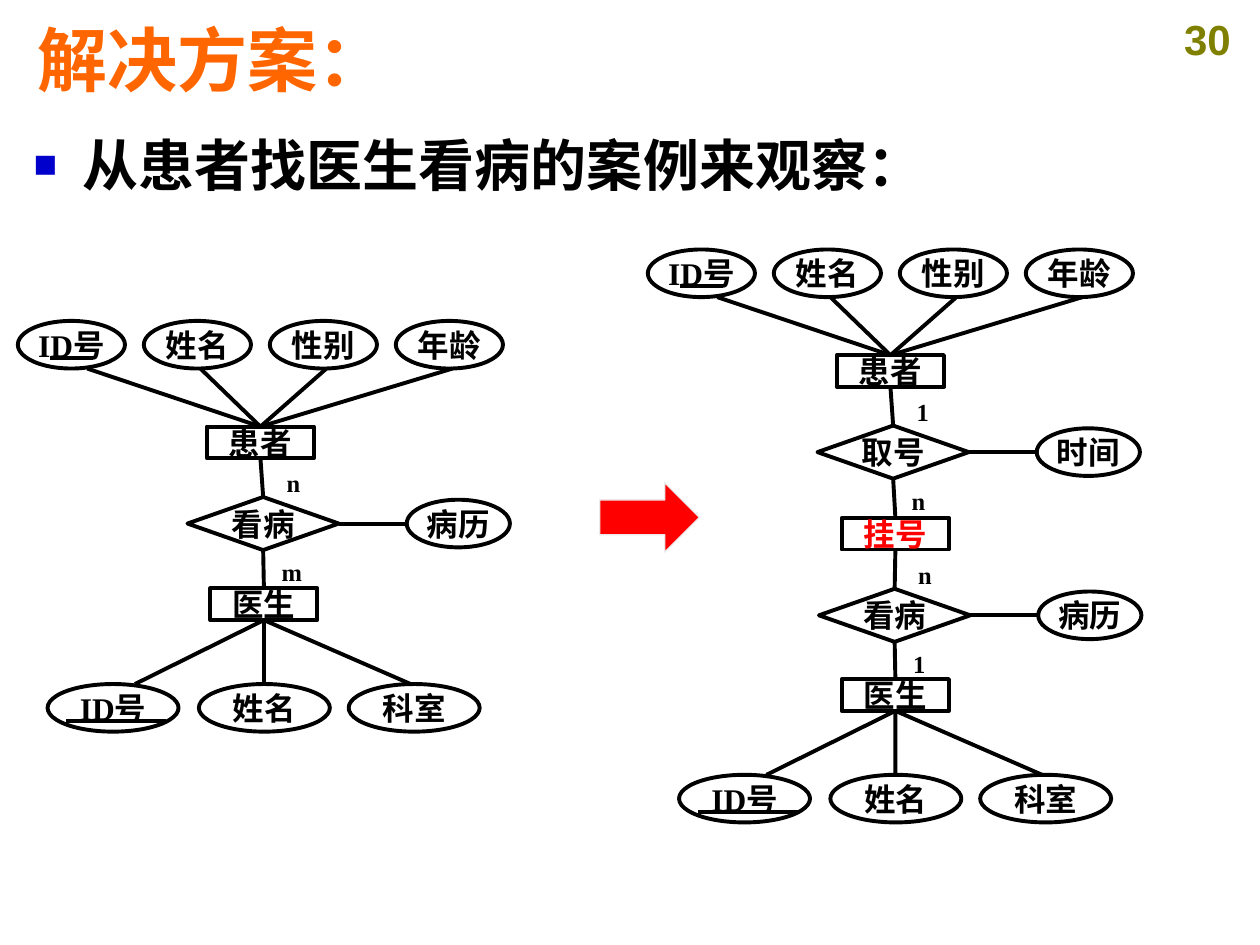
from lxml import etree
from pptx import Presentation
from pptx.dml.color import RGBColor
from pptx.enum.shapes import MSO_CONNECTOR, MSO_SHAPE
from pptx.enum.text import MSO_ANCHOR, PP_ALIGN
from pptx.oxml.ns import qn
from pptx.util import Cm, Pt

RECT, ELLIPSE = MSO_SHAPE.RECTANGLE, MSO_SHAPE.OVAL
DIAMOND, ARROW = MSO_SHAPE.DIAMOND, MSO_SHAPE.RIGHT_ARROW
STRAIGHT = MSO_CONNECTOR.STRAIGHT
LEFT, CENTER = PP_ALIGN.LEFT, PP_ALIGN.CENTER
TOP, MIDDLE = MSO_ANCHOR.TOP, MSO_ANCHOR.MIDDLE
TOP_SITE, BOTTOM_SITE, RIGHT_SITE = 0, 2, 3
SERIF, SANS = "Times New Roman", "Arial"
COLORS = {
    "black": "000000",
    "red": "FF0000",
    "title": "FF6600",
    "number": "808000",
    "bullet": "0000CC",
    "arrow_line": "EAEAEA",
}
ENTITY_W, ENTITY_H, ELLIPSE_H = 2.16, 0.64, 0.96


def rgb(name):
    return RGBColor.from_string(COLORS[name])


def write(tf, text, size, font=SERIF, color="black", align=LEFT, anchor=TOP):
    tf.text = text
    tf.vertical_anchor = anchor
    p = tf.paragraphs[0]
    p.alignment = align
    r = p.runs[0]
    r.font.size = Pt(size)
    r.font.name = font
    r.font.bold = True
    r.font.color.rgb = rgb(color)
    return p


def add_text(s, x, y, w, h, text, size, **style):
    tf = s.shapes.add_textbox(Cm(x), Cm(y), Cm(w), Cm(h)).text_frame
    tf.word_wrap = True
    return write(tf, text, size, **style)


def add_bullet(p, char, indent):
    pPr = p._p.get_or_add_pPr()
    pPr.set("marL", str(Cm(indent)))
    pPr.set("indent", str(-Cm(indent)))
    color = etree.SubElement(pPr, qn("a:buClr"))
    etree.SubElement(color, qn("a:srgbClr"), val=COLORS["bullet"])
    etree.SubElement(pPr, qn("a:buSzPct"), val="70000")
    etree.SubElement(pPr, qn("a:buFont"), typeface=SANS)
    etree.SubElement(pPr, qn("a:buChar"), char=char)


def add_node(s, kind, x, y, w, h, text, color="black"):
    sp = s.shapes.add_shape(kind, Cm(x), Cm(y), Cm(w), Cm(h))
    sp.shadow.inherit = False
    sp.fill.background()
    sp.line.color.rgb = rgb("black")
    sp.line.width = Pt(2.25)
    tf = sp.text_frame
    tf.margin_left = tf.margin_right = tf.margin_top = tf.margin_bottom = 0
    tf.word_wrap = False
    write(tf, text, 18, color=color, align=CENTER, anchor=MIDDLE)
    return sp


def add_line(s, x1, y1, x2, y2, begin=None, end=None):
    c = s.shapes.add_connector(STRAIGHT, Cm(x1), Cm(y1), Cm(x2), Cm(y2))
    c.line.color.rgb = rgb("black")
    c.line.width = Pt(2.25)
    etree.SubElement(c._element.spPr, qn("a:effectLst"))
    if begin:
        c.begin_connect(*begin)
    if end:
        c.end_connect(*end)


def add_entity(s, x, y, text, color="black"):
    return add_node(s, RECT, x, y, ENTITY_W, ENTITY_H, text, color)


def add_patient(s, x, y):
    entity = add_entity(s, x + 3.81, y + 2.13, "患者")
    for i, text in enumerate(["ID号", "姓名", "性别", "年龄"]):
        left = x + 2.54 * i
        add_node(s, ELLIPSE, left, y, ENTITY_W, ELLIPSE_H, text)
        start = left + (1.14 if i else 1.4)
        add_line(s, start, y + ELLIPSE_H, x + 4.89, y + 2.13, end=(entity, TOP_SITE))
    add_line(s, x + 0.64, y + 0.74, x + 1.52, y + 0.74)
    return entity


def add_doctor(s, x, y):
    entity = add_entity(s, x, y, "医生")
    top = y + 1.93
    attributes = [("ID号", -3.28, -1.52), ("姓名", -0.23, 1.08), ("科室", 2.79, 4.04)]
    for text, left, start in attributes:
        add_node(s, ELLIPSE, x + left, top, 2.64, ELLIPSE_H, text)
        add_line(s, x + start, top, x + 1.08, y + ENTITY_H, end=(entity, BOTTOM_SITE))
    add_line(s, x - 2.9, y + 2.67, x - 0.89, y + 2.67)
    return entity


def add_relation(s, x, y, text, attribute, upper, lower, upper_label, lower_label):
    w, h = 3.05, 1.07
    mid_x, mid_y = x + w / 2, y + h / 2
    diamond = add_node(s, DIAMOND, x, y, w, h, text)
    add_node(s, ELLIPSE, x + 4.42, mid_y - ELLIPSE_H / 2, 2.08, ELLIPSE_H, attribute)
    add_line(s, x + w, mid_y, x + 4.42, mid_y, begin=(diamond, RIGHT_SITE))
    add_line(s, mid_x, y - 1, mid_x, y, (upper, BOTTOM_SITE), (diamond, TOP_SITE))
    add_line(s, mid_x, y + h, mid_x, y + 2, (diamond, BOTTOM_SITE), (lower, TOP_SITE))
    add_text(s, x + 1.75, y - 0.7, 0.58, 0.86, upper_label, 14)
    add_text(s, x + 1.65, y + 1.09, 0.58, 0.86, lower_label, 14)


def add_arrow(s, x, y, w, h):
    sp = s.shapes.add_shape(ARROW, Cm(x), Cm(y), Cm(w), Cm(h))
    sp.shadow.inherit = False
    sp.fill.solid()
    sp.fill.fore_color.rgb = rgb("red")
    sp.line.color.rgb = rgb("arrow_line")
    sp.line.width = Pt(0.75)


def main():
    prs = Presentation()
    prs.slide_width, prs.slide_height = Cm(25.4), Cm(19.05)
    s = prs.slides.add_slide(prs.slide_layouts[6])

    add_text(s, 23.44, 0.15, 1.8, 1.27, "30", 24, font=SANS, color="number", align=CENTER)
    add_text(s, 0.51, 0.48, 24.05, 1.4, "解决方案：", 40, font=SANS, color="title", anchor=MIDDLE)
    p = add_text(s, 0.43, 2.51, 24.59, 1.63, "从患者找医生看病的案例来观察：", 32)
    add_bullet(p, "■", 0.99)

    patient = add_patient(s, 0.36, 6.47)
    doctor = add_doctor(s, 4.24, 11.86)
    add_relation(s, 3.78, 10.02, "看病", "病历", patient, doctor, "n", "m")

    patient = add_patient(s, 13.06, 5.03)
    registration = add_entity(s, 16.97, 10.44, "挂号", "red")
    doctor = add_doctor(s, 16.97, 13.69)
    add_relation(s, 16.48, 8.58, "取号", "时间", patient, registration, "1", "n")
    add_relation(s, 16.51, 11.87, "看病", "病历", registration, doctor, "n", "1")

    add_arrow(s, 12.09, 9.73, 2.01, 1.4)
    prs.save("out.pptx")


if __name__ == "__main__":
    main()
